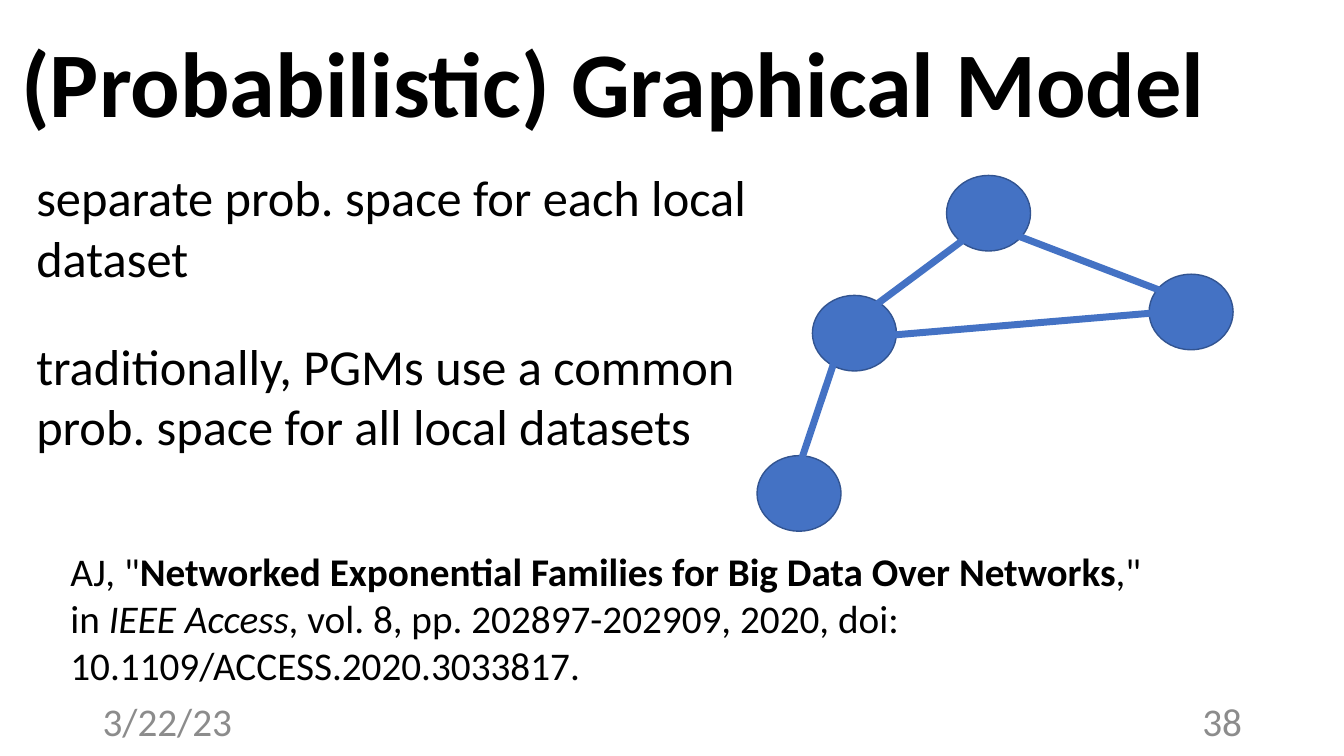
"""Build the graphical model slide, with places in percent of the slide's size."""
import pptx
import pptx.util
import pptx.dml.color
import pptx.enum.shapes
import pptx.enum.text
import pptx.oxml.ns
from lxml import etree

RGBColor = pptx.dml.color.RGBColor
BLACK = RGBColor(0x00, 0x00, 0x00)
GREY = RGBColor(0x8C, 0x8C, 0x8C)
BLUE = RGBColor(0x44, 0x72, 0xC4)
NAVY = RGBColor(0x32, 0x54, 0x91)
Pt = pptx.util.Pt
Align = pptx.enum.text.PP_ALIGN
Anchor = pptx.enum.text.MSO_ANCHOR
qn = pptx.oxml.ns.qn

deck = pptx.Presentation()
deck.slide_width = pptx.util.Inches(13.33)
deck.slide_height = pptx.util.Inches(7.5)
slide = deck.slides.add_slide(deck.slide_layouts[1])
shapes = slide.shapes


def scale(*nums):
    """Turn percents, across and down in turn, into lengths."""
    sides = (deck.slide_width, deck.slide_height)
    return [round(num * sides[i % 2] / 100) for i, num in enumerate(nums)]


def write(box, place, anchor, align, paras, look):
    """Place a box and fill it with paragraphs of (space before, runs)."""
    box.left, box.top, box.width, box.height = scale(*place)
    frame = box.text_frame
    frame.word_wrap = True
    frame.auto_size = pptx.enum.text.MSO_AUTO_SIZE.NONE
    frame.vertical_anchor = anchor
    for i, (gap, runs) in enumerate(paras):
        para = frame.add_paragraph() if i else frame.paragraphs[0]
        para.alignment = align
        para.space_before = Pt(gap)
        props = para._p.get_or_add_pPr()
        props.set("marL", "0")
        props.set("indent", "0")
        etree.SubElement(props, qn("a:buNone"))
        for text, extra in runs:
            run = para.add_run()
            run.text = text
            form = {"name": "Calibri", "bold": False, **look, **extra}
            run.font.color.rgb = form.pop("color")
            for key, val in form.items():
                setattr(run.font, key, val)


write(shapes.title, (0.83, 2.67, 90.53, 16.13), Anchor.TOP, Align.LEFT,
      [(0, [("(Probabilistic) Graphical Model", {})])],
      {"size": Pt(66), "bold": True, "color": BLACK})
write(slide.placeholders[1], (1.95, 21.33, 63.08, 40), Anchor.TOP, Align.LEFT,
      [(0, [("separate prob. space for each local dataset", {})]),
       (34, [("traditionally, PGMs use a common", {})]),
       (0, [("prob. space for all local datasets", {})])],
      {"size": Pt(36), "color": BLACK})

nodes = [(70.43, 23.2), (60.45, 39.07), (56.33, 60.27), (85.5, 36.27)]
for spot in nodes:
    node = shapes.add_shape(pptx.enum.shapes.MSO_SHAPE.OVAL, *scale(*spot, 6.25, 10))
    node.shadow.inherit = False
    node.fill.solid()
    node.fill.fore_color.rgb = BLUE
    node.line.color.rgb = NAVY
    node.line.width = Pt(1)

edges = [(73.2, 29.73, 63.3, 42.8), (58.65, 66, 63, 42.93),
         (88.95, 40.93, 63.23, 44.8), (73.58, 29.73, 88.65, 40)]
for ends in edges:
    edge = shapes.add_connector(pptx.enum.shapes.MSO_CONNECTOR.STRAIGHT, *scale(*ends))
    edge.line.color.rgb = BLUE
    edge.line.width = Pt(5)
    etree.SubElement(edge._element.spPr, qn("a:effectLst"))

cite = [("AJ, \"", {}),
        ("Networked Exponential Families for Big Data Over Networks", {"bold": True}),
        (",\" in ", {}),
        ("IEEE Access", {"italic": True}),
        (", vol. 8, pp. 202897-202909, 2020, doi: 10.1109/ACCESS.2020.3033817.", {})]
notes = [((4.5, 71.73, 83.25, 20.13), Anchor.TOP, Align.LEFT, cite, BLACK),
         ((6.9, 92.67, 22.5, 5.33), Anchor.MIDDLE, Align.LEFT, [("3/22/23", {})], GREY),
         ((70.65, 92.67, 22.5, 5.33), Anchor.MIDDLE, Align.RIGHT, [("38", {})], GREY)]
for place, anchor, align, runs, color in notes:
    write(shapes.add_textbox(*scale(*place)), place, anchor, align,
          [(0, runs)], {"size": Pt(28), "color": color})

deck.save("out.pptx")
